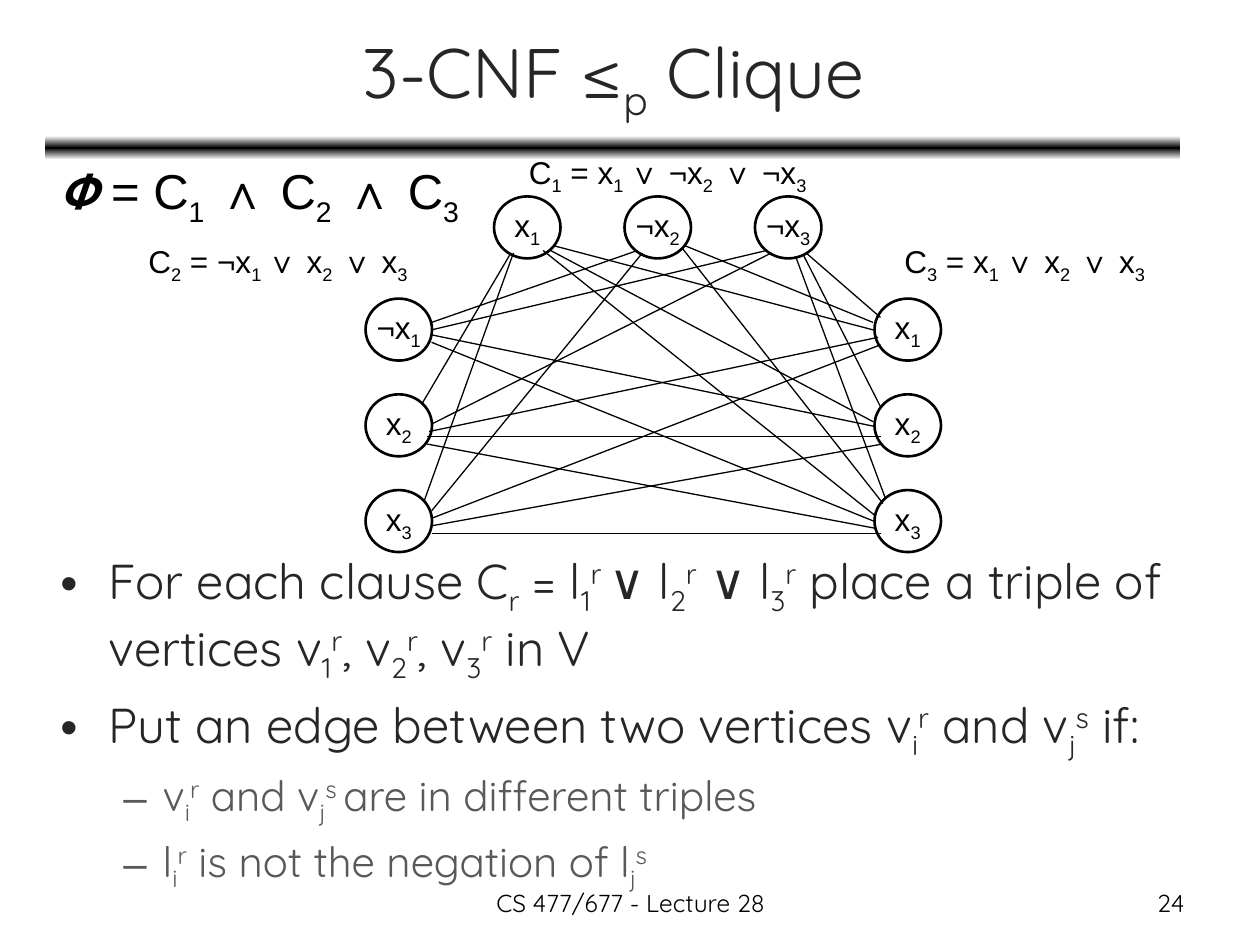
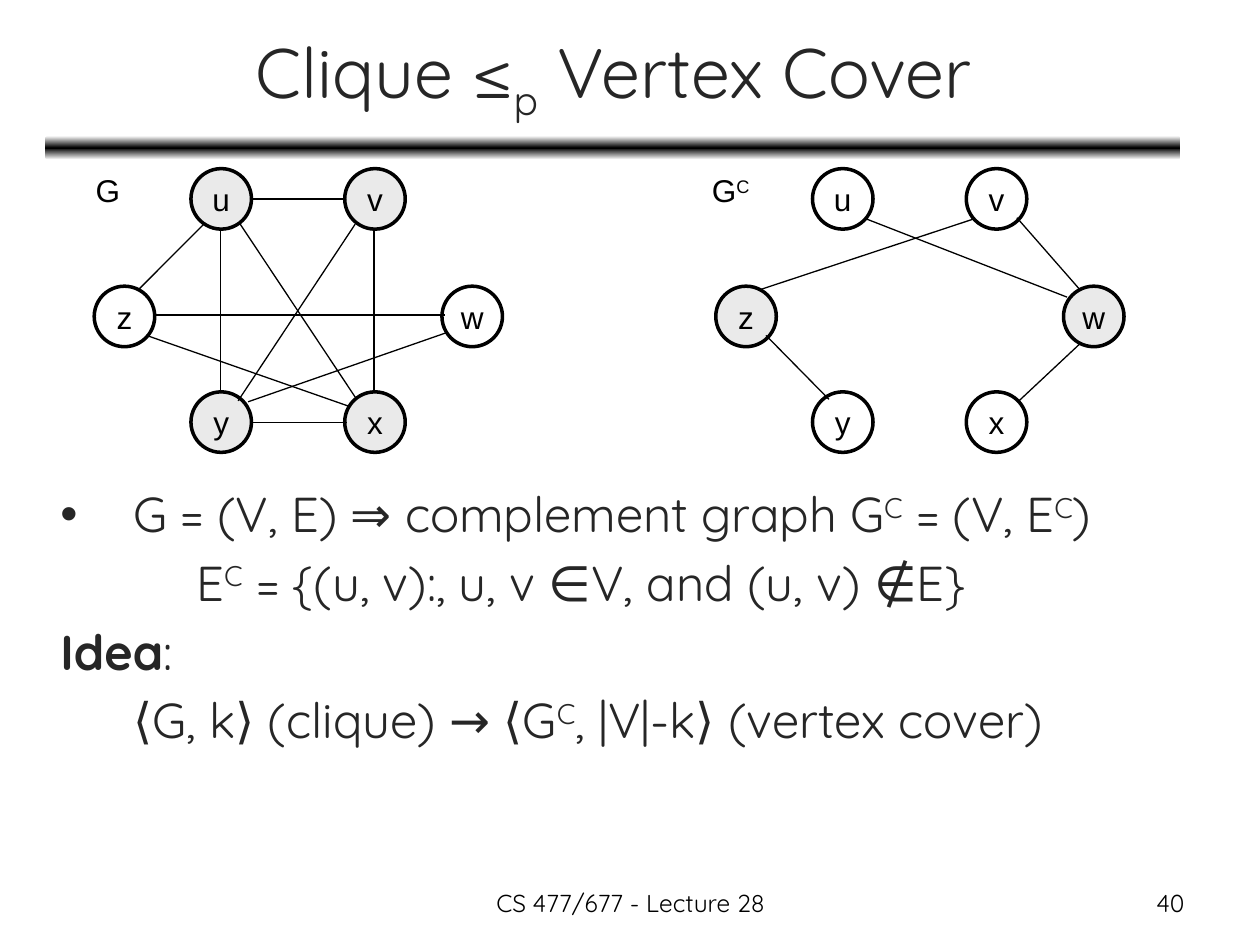
from itertools import groupby

from lxml.etree import SubElement
from pptx import Presentation
from pptx.dml.color import RGBColor
from pptx.enum.shapes import MSO_CONNECTOR, MSO_SHAPE
from pptx.enum.text import MSO_ANCHOR, PP_ALIGN
from pptx.oxml.ns import qn
from pptx.util import Cm, Pt

BLACK, WHITE, SHADE = "000000", "FFFFFF", "EAEAEA"
INK, MUTED = "262626", "595959"
BODY_FONT, GRAPH_FONT = "Quicksand", "Arial"
COURSE = "CS 477/677 - Lecture 28"
BASELINES = {"_": "-25000", "^": "30000"}


def color(value):
    return RGBColor.from_string(value)


def styled_characters(markup):
    bold = italic = False
    baseline = None
    for mark in markup:
        if mark in BASELINES and baseline is None:
            baseline = BASELINES[mark]
        elif mark == "*":
            bold = not bold
        elif mark == "~":
            italic = not italic
        else:
            yield mark, (baseline, bold, italic)
            baseline = None


class Deck:
    def __init__(self):
        self.presentation = Presentation()
        self.presentation.slide_width = Cm(25.4)
        self.presentation.slide_height = Cm(19.05)
        self.slide = None

    def start(self, heading, number):
        layout = self.presentation.slide_layouts[5]
        self.slide = self.presentation.slides.add_slide(layout)
        self.band()
        title = self.slide.shapes.title
        title.left, title.top = Cm(0.94), Cm(0.28)
        title.width, title.height = Cm(22.86), Cm(2.51)
        title.text_frame.vertical_anchor = MSO_ANCHOR.MIDDLE
        self.typeset(title.text_frame.paragraphs[0], heading, 40, BODY_FONT, INK,
                     PP_ALIGN.CENTER)
        self.text(8.69, 17.78, 8.05, 0.89, COURSE, 14, BODY_FONT,
                  PP_ALIGN.CENTER, wrap=True)
        self.text(18.21, 17.78, 5.92, 0.89, str(number), 14, BODY_FONT,
                  PP_ALIGN.RIGHT, wrap=True)

    def band(self):
        band = self.slide.shapes.add_shape(
            MSO_SHAPE.ROUNDED_RECTANGLE, Cm(0.91), Cm(2.74), Cm(22.89), Cm(0.48))
        band.shadow.inherit = False
        band.line.fill.background()
        band.fill.gradient()
        band.fill.gradient_angle = 90
        stops = band._element.spPr.find(qn("a:gradFill")).find(qn("a:gsLst"))
        for stop in list(stops):
            stops.remove(stop)
        for position, shade in ((0, WHITE), (50000, BLACK), (100000, WHITE)):
            stop = SubElement(stops, qn("a:gs"), pos=str(position))
            SubElement(stop, qn("a:srgbClr"), val=shade)

    def typeset(self, paragraph, markup, size, font, ink, align=PP_ALIGN.LEFT):
        for style, group in groupby(styled_characters(markup), lambda pair: pair[1]):
            baseline, bold, italic = style
            run = paragraph.add_run()
            run.text = "".join(mark for mark, _ in group)
            if baseline:
                run._r.get_or_add_rPr().set("baseline", baseline)
            if bold:
                run.font.bold = True
            if italic:
                run.font.italic = True
        paragraph.alignment = align
        paragraph.font.size = Pt(size)
        paragraph.font.name = font
        paragraph.font.color.rgb = color(ink)

    def text(self, left, top, width, height, markup, size=18, font=GRAPH_FONT,
             align=PP_ALIGN.LEFT, wrap=False):
        box = self.slide.shapes.add_textbox(Cm(left), Cm(top), Cm(width), Cm(height))
        box.text_frame.word_wrap = wrap
        self.typeset(box.text_frame.paragraphs[0], markup, size, font, BLACK, align)

    def body(self, left, top, width, height, items):
        box = self.slide.shapes.add_textbox(Cm(left), Cm(top), Cm(width), Cm(height))
        frame = box.text_frame
        frame.word_wrap = True
        for index, (markup, bullet, margin, hanging, size, ink) in enumerate(items):
            paragraph = frame.add_paragraph() if index else frame.paragraphs[0]
            properties = paragraph._p.get_or_add_pPr()
            properties.set("marL", str(int(Cm(margin))))
            properties.set("indent", str(-int(Cm(hanging))))
            if index:
                paragraph.space_before = Pt(size * 0.2)
            if bullet:
                SubElement(properties, qn("a:buFont"), typeface=GRAPH_FONT)
                SubElement(properties, qn("a:buChar"), char=bullet)
            self.typeset(paragraph, markup, size, BODY_FONT, ink)

    def node(self, left, top, width, height, label, fill=None, outline=1.5, spacing=1.0):
        node = self.slide.shapes.add_shape(
            MSO_SHAPE.OVAL, Cm(left), Cm(top), Cm(width), Cm(height))
        node.shadow.inherit = False
        if fill:
            node.fill.solid()
            node.fill.fore_color.rgb = color(fill)
        else:
            node.fill.background()
        node.line.color.rgb = color(BLACK)
        node.line.width = Pt(outline)
        frame = node.text_frame
        frame.word_wrap = False
        frame.vertical_anchor = MSO_ANCHOR.MIDDLE
        frame.paragraphs[0].line_spacing = spacing
        self.typeset(frame.paragraphs[0], label, 18, GRAPH_FONT, BLACK, PP_ALIGN.CENTER)

    def edges(self, ends):
        for end in ends:
            edge = self.slide.shapes.add_connector(
                MSO_CONNECTOR.STRAIGHT, *(Cm(value) for value in end))
            edge.line.color.rgb = color(BLACK)
            edge.line.width = Pt(0.75)
            SubElement(edge._element.spPr, qn("a:effectLst"))


CLAUSE_EDGES = (
    (10.3, 5.1, 8.5, 8.15), (10.35, 5.1, 8.55, 10.1),
    (11.15, 4.95, 17.6, 6.65), (11.1, 5.05, 17.6, 8.5), (10.95, 5.05, 17.65, 10.4),
    (12.85, 5.05, 8.7, 6.5), (12.95, 5.1, 8.7, 10.3),
    (13.8, 4.95, 17.6, 6.5), (13.75, 5.0, 17.8, 10.15),
    (15.45, 5.05, 8.7, 6.65), (15.55, 5.1, 8.7, 8.55),
    (16.25, 5.1, 17.75, 6.4), (16.2, 5.15, 17.75, 8.2), (16.05, 5.2, 17.85, 10.05),
    (8.7, 6.75, 17.65, 8.6), (8.7, 6.9, 17.6, 10.5),
    (8.65, 8.7, 17.7, 6.8), (8.6, 8.8, 17.75, 8.8), (8.6, 8.95, 17.65, 10.65),
    (8.7, 10.45, 17.75, 6.95), (8.7, 10.6, 17.8, 8.95), (8.7, 10.75, 17.75, 10.75),
)
GRAPH_EDGES = (
    (5.03, 4.01, 6.96, 4.01), (5.05, 8.51, 6.99, 8.51), (3.15, 6.35, 8.97, 6.35),
    (4.45, 4.62, 4.45, 7.9), (7.54, 4.62, 7.54, 7.9), (2.79, 5.84, 4.11, 4.52),
    (2.95, 6.76, 7.06, 8.2), (4.83, 4.5, 7.19, 8.05), (7.16, 4.52, 4.8, 8.08),
    (5.0, 8.1, 8.99, 6.71),
)
COMPLEMENT_EDGES = (
    (15.32, 5.84, 19.61, 4.42), (15.44, 6.76, 16.71, 8.05),
    (17.48, 4.42, 21.51, 5.99), (21.77, 6.93, 20.52, 8.1), (20.5, 4.39, 21.77, 5.84),
)
VERTICES = {"u": (1.95, 3.4), "v": (5.05, 3.4), "z": (0, 5.77),
            "w": (7.01, 5.77), "y": (1.95, 7.9), "x": (5.05, 7.9)}


def clause_slide(deck):
    deck.start("3-CNF ≤_p Clique", 24)
    triples = (
        (("x_1", "¬x_2", "¬x_3"), 9.96, 3.96, 2.63, 0),
        (("x_1", "x_2", "x_3"), 17.63, 6.02, 0, 1.93),
        (("¬x_1", "x_2", "x_3"), 7.37, 6.02, 0, 1.93),
    )
    for literals, left, top, step_x, step_y in triples:
        for index, literal in enumerate(literals):
            deck.node(left + index * step_x, top + index * step_y, 1.34, 1.25,
                      literal, spacing=0.8)
    deck.edges(CLAUSE_EDGES)
    deck.text(10.41, 2.97, 6.53, 1.02, "C_1 = x_1_ ∨ ¬x_2 ∨ ¬x_3")
    deck.text(2.74, 4.75, 6.07, 1.02, "C_2 = ¬x_1_ ∨ x_2 ∨ x_3")
    deck.text(17.98, 4.75, 5.61, 1.02, "C_3 = x_1_ ∨ x_2 ∨ x_3")
    deck.text(0.94, 3.12, 8.86, 1.45, "~𝚽~ = C_1 ∧ C_2 ∧ C_3", 28)
    point = ("•", 0.97, 0.97, 28, INK)
    condition = ("–", 2.06, 0.79, 24, MUTED)
    deck.body(0.97, 10.97, 23.88, 7.65, (
        ("For each clause C_r = l_1^r^ ∨ l_2^r ∨ l_3^r place a triple of "
         "vertices v_1^r, v_2^r, v_3^r in V", *point),
        ("Put an edge between two vertices v_i^r and v_j^s if:", *point),
        ("v_i^r and v_j^s^ are in different triples", *condition),
        ("l_i^r is not the negation of l_j^s", *condition),
    ))


def complement_slide(deck):
    deck.start("Clique ≤_p Vertex Cover", 40)
    graphs = ((1.9, "uvxy", GRAPH_EDGES), (14.43, "zw", COMPLEMENT_EDGES))
    for left, shaded, edges in graphs:
        for vertex, (offset, top) in VERTICES.items():
            deck.node(left + offset, top, 1.22, 1.22, vertex,
                      SHADE if vertex in shaded else WHITE, 2)
        deck.edges(edges)
    deck.text(1.68, 3.33, 1.02, 1.02, "G")
    deck.text(14.1, 3.33, 1.32, 1.02, "G^C")
    layout = (1.47, 1.47, 28, INK)
    deck.body(0.97, 9.63, 23.72, 8.51, (
        ("G = (V, E) ⇒ complement graph G^C = (V, E^C)", "•", *layout),
        ("\t\tE^C = {(u, v):, u, v ∈V, and (u, v) ∉E}", None, *layout),
        ("*Idea*:", None, *layout),
        ("\t⟨G, k⟩ (clique) → ⟨G^C, |V|-k⟩ (vertex cover)", None, *layout),
    ))


def main():
    deck = Deck()
    clause_slide(deck)
    complement_slide(deck)
    deck.presentation.save("out.pptx")


if __name__ == "__main__":
    main()
